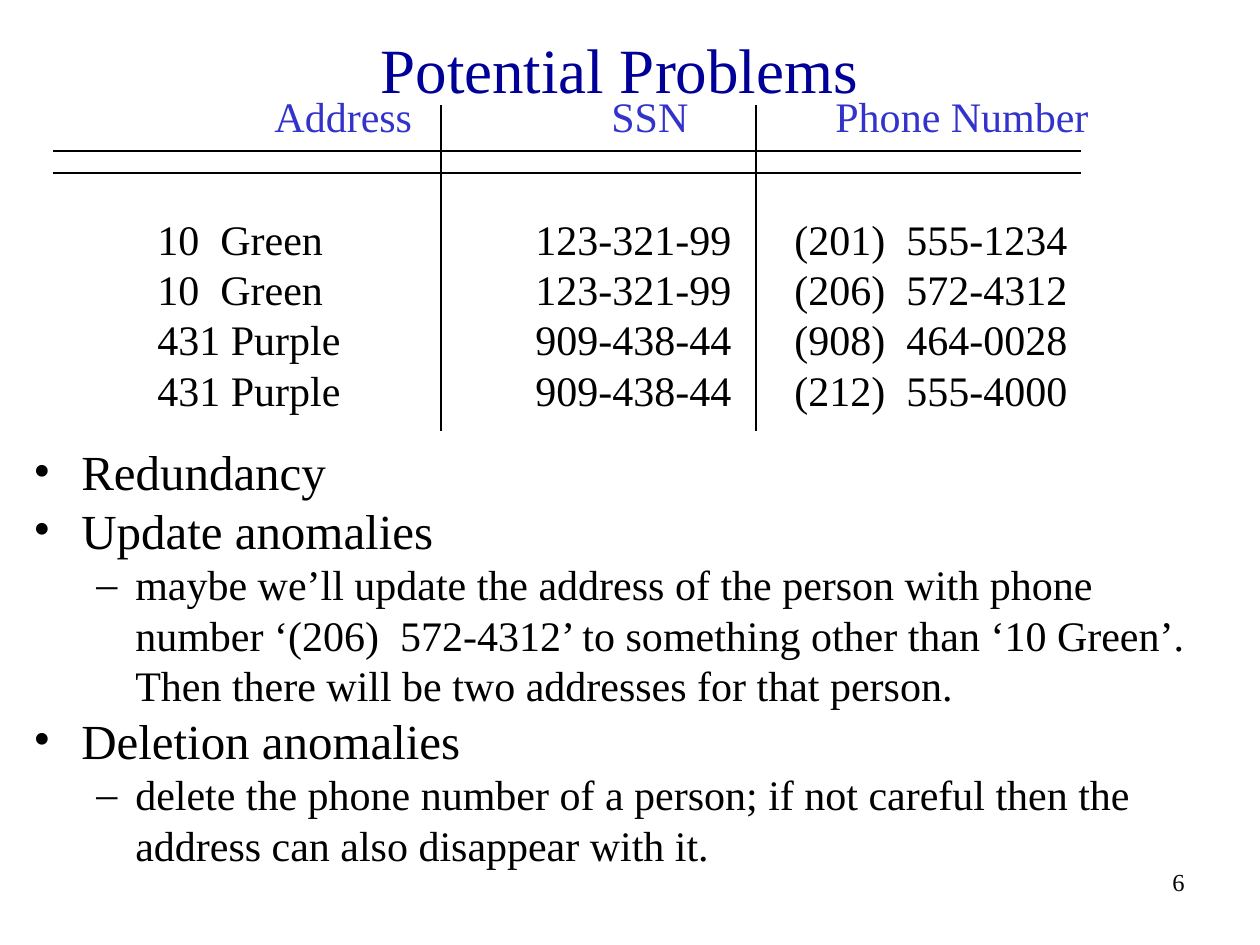
"""Build the "Potential Problems" slide on redundancy and anomalies."""
from dataclasses import dataclass, field

from lxml import etree
from pptx import Presentation, util as u
from pptx.dml.color import RGBColor
from pptx.enum import shapes, text
from pptx.oxml.ns import qn

SCALE = 914400 / 126


@dataclass(frozen=True)
class Theme:
    font: str = "Times New Roman"
    ink: str = "000000"
    title: str = "000099"
    header: str = "3333CC"
    title_pt: int = 36
    point_pt: int = 28
    detail_pt: int = 24
    number_pt: int = 14
    line_pt: float = 0.75


THEME = Theme()


@dataclass(frozen=True)
class Style:
    size: int
    color: str = THEME.ink
    align: text.PP_ALIGN = text.PP_ALIGN.LEFT
    bullet: str = ""
    margin: int = 0
    hang: int = 0
    tabs: tuple[int, ...] = ()


@dataclass(frozen=True)
class Block:
    left: int
    top: int
    width: int
    height: int
    lines: list[tuple[str, Style]]
    frame: dict = field(default_factory=dict)


@dataclass(frozen=True)
class Rule:
    x1: int
    y1: int
    x2: int
    y2: int


def px(n: int) -> u.Emu:
    return u.Emu(round(n * SCALE))


def format_paragraph(p, style: Style) -> None:
    pPr = p._p.get_or_add_pPr()
    if style.bullet:
        pPr.set("marL", str(px(style.margin)))
        pPr.set("indent", str(-px(style.hang)))
        etree.SubElement(pPr, qn("a:buFont")).set("typeface", THEME.font)
        etree.SubElement(pPr, qn("a:buChar")).set("char", style.bullet)
    if style.tabs:
        stops = etree.SubElement(pPr, qn("a:tabLst"))
        for pos in style.tabs:
            etree.SubElement(stops, qn("a:tab"), pos=str(px(pos)), algn="l")
    p.alignment = style.align


def draw_block(s, block: Block) -> None:
    sp = s.shapes.add_textbox(*map(px, (block.left, block.top, block.width, block.height)))
    tf = sp.text_frame
    for name, value in ({"word_wrap": True} | block.frame).items():
        setattr(tf, name, value)
    for i, (line, style) in enumerate(block.lines):
        p = tf.add_paragraph() if i else tf.paragraphs[0]
        format_paragraph(p, style)
        r = p.add_run()
        r.text = line
        for name, value in {"name": THEME.font, "size": u.Pt(style.size)}.items():
            setattr(r.font, name, value)
        r.font.color.rgb = RGBColor.from_string(style.color)


def draw_rule(s, rule: Rule) -> None:
    c = s.shapes.add_connector(
        shapes.MSO_CONNECTOR.STRAIGHT, *map(px, (rule.x1, rule.y1, rule.x2, rule.y2)))
    c.line.color.rgb = RGBColor.from_string(THEME.ink)
    c.line.width = u.Pt(THEME.line_pt)
    etree.SubElement(c._element.spPr, qn("a:effectLst"))


TITLE = Style(THEME.title_pt, THEME.title, text.PP_ALIGN.CENTER)
NUMBER = Style(THEME.number_pt, align=text.PP_ALIGN.RIGHT)
HEADER = Style(THEME.detail_pt, THEME.header, tabs=(337, 561))
ROW = Style(THEME.detail_pt, tabs=(378, 637))
POINT = Style(THEME.point_pt, bullet="•", margin=48, hang=48)
DETAIL = Style(THEME.detail_pt, bullet="–", margin=102, hang=39)

RECORDS = [
    ("10  Green", "123-321-99", "(201)  555-1234"),
    ("10  Green", "123-321-99", "(206)  572-4312"),
    ("431 Purple", "909-438-44", "(908)  464-0028"),
    ("431 Purple", "909-438-44", "(212)  555-4000"),
]
PROBLEMS = [
    ("Redundancy", POINT),
    ("Update anomalies", POINT),
    ("maybe we’ll update the address of the person with phone number "
     "‘(206)  572-4312’ to something other than ‘10 Green’. "
     "Then there will be two addresses for that person.", DETAIL),
    ("Deletion anomalies", POINT),
    ("delete the phone number of a person; if not careful then the "
     "address can also disappear with it.", DETAIL),
]
BLOCKS = [
    Block(935, 861, 262, 63, [("6", NUMBER)]),
    Block(21, 21, 1197, 95, [("Potential Problems", TITLE)],
          {"vertical_anchor": text.MSO_ANCHOR.MIDDLE}),
    Block(21, 435, 1197, 447, PROBLEMS),
    Block(262, 84, 840, 63, [("\t".join(("Address", "SSN", "Phone Number")), HEADER)]),
    Block(145, 207, 968, 214, [("\t".join(record), ROW) for record in RECORDS]),
]
RULES = [Rule(53, y, 1081, y) for y in (151, 173)]
RULES += [Rule(x, 105, x, 431) for x in (441, 756)]


def main() -> None:
    prs = Presentation()
    prs.slide_width, prs.slide_height = px(1260), px(945)
    s = prs.slides.add_slide(prs.slide_layouts[6])
    for block in BLOCKS:
        draw_block(s, block)
    for rule in RULES:
        draw_rule(s, rule)
    prs.save("out.pptx")


if __name__ == "__main__":
    main()
